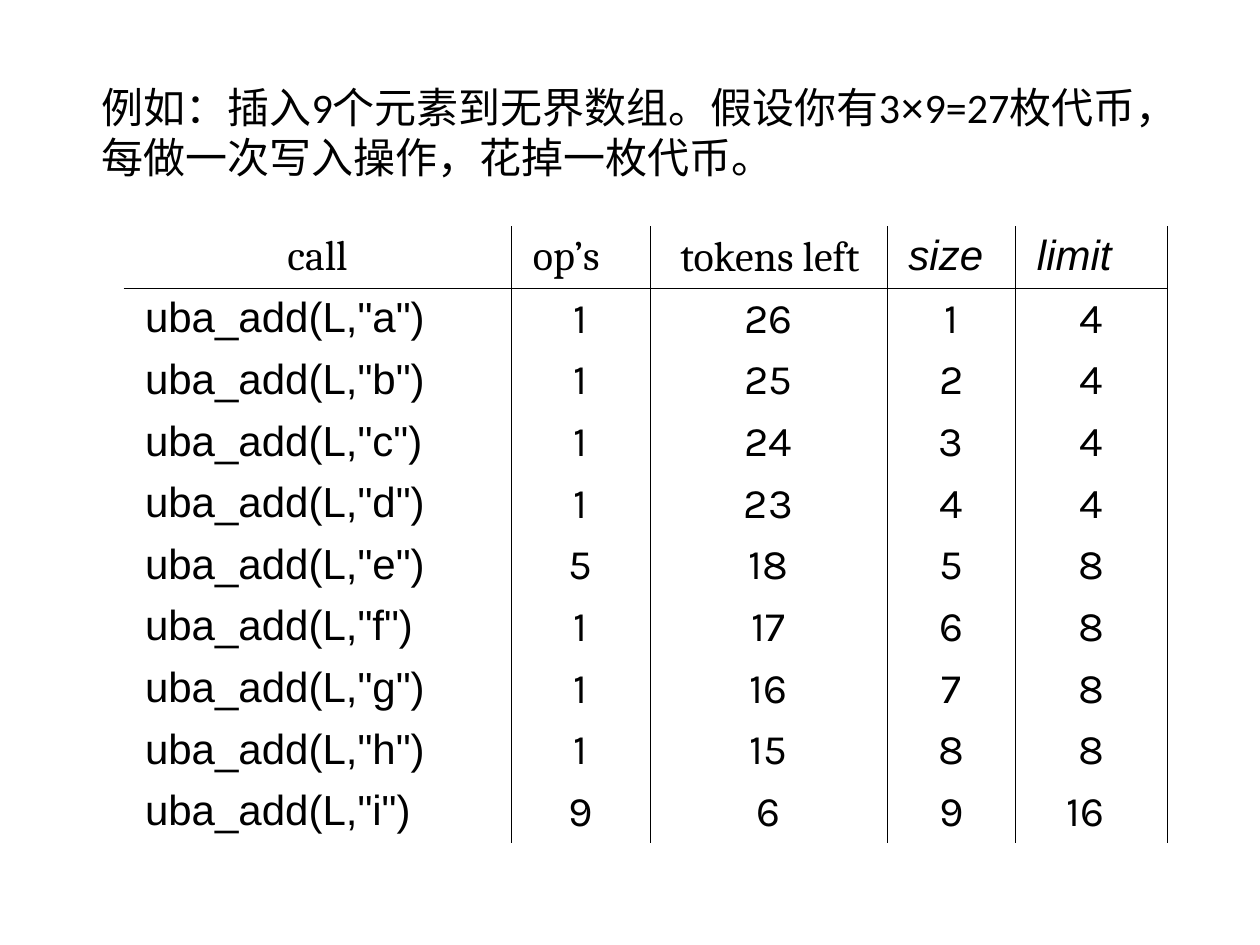
from lxml import etree
from pptx import Presentation
from pptx.dml.color import RGBColor
from pptx.enum.text import MSO_AUTO_SIZE, PP_ALIGN
from pptx.oxml.ns import qn
from pptx.util import Cm, Pt

CENTER = PP_ALIGN.CENTER
LEFT = PP_ALIGN.LEFT
GROW = MSO_AUTO_SIZE.SHAPE_TO_FIT_TEXT
BLACK = "000000"
RULE_WIDTH = Pt(0.17)

INTRO = [
    ("例如：插入9个元素到无界数组。假设你有3", "Calibri"),
    ("×", "Arial"),
    ("9=27枚代币，每做一次写入操作，花掉一枚代币。", "Calibri"),
]
COLUMN_WIDTHS = [7.82, 2.79, 4.78, 2.59, 3.05]
HEADINGS = [
    ("call", dict(font="Cambria", align=CENTER)),
    ("op’s", dict(font="Cambria", margin=0.18)),
    ("tokens left", dict(font="Cambria", margin=0.64, indent=-0.28, spacing=1.03)),
    ("size", dict(font="Arial", italic=True, margin=0.18)),
    ("limit", dict(font="Arial", italic=True, margin=0.18)),
]
CALLS = [
    ("a", 1, 26, 1, 4),
    ("b", 1, 25, 2, 4),
    ("c", 1, 24, 3, 4),
    ("d", 1, 23, 4, 4),
    ("e", 5, 18, 5, 8),
    ("f", 1, 17, 6, 8),
    ("g", 1, 16, 7, 8),
    ("h", 1, 15, 8, 8),
    ("i", 9, 6, 9, 16),
]


def color(hex_code):
    return RGBColor.from_string(hex_code)


def add_text(paragraph, text, font="Arial", size=24, italic=False, align=LEFT,
             margin=0, indent=0, spacing=None):
    paragraph.alignment = align
    if spacing:
        paragraph.line_spacing = spacing
    properties = paragraph._p.get_or_add_pPr()
    properties.set("marL", str(Cm(margin)))
    properties.set("indent", str(Cm(indent)))
    run = paragraph.add_run()
    run.text = text
    run.font.name = font
    run.font.size = Pt(size)
    run.font.italic = italic
    run.font.color.rgb = color(BLACK)


def set_borders(cell, ruled_sides):
    properties = cell._tc.get_or_add_tcPr()
    for side in "LRTB":
        border = etree.SubElement(properties, qn(f"a:ln{side}"), w=str(RULE_WIDTH))
        if side in ruled_sides:
            fill = etree.SubElement(border, qn("a:solidFill"))
            etree.SubElement(fill, qn("a:srgbClr"), val=BLACK)
        else:
            etree.SubElement(border, qn("a:noFill"))


def fill_cell(cell, sides, text, **text_format):
    set_borders(cell, sides)
    cell.fill.background()
    add_text(cell.text_frame.paragraphs[0], text, **text_format)


def add_intro(slide):
    intro = slide.shapes.add_textbox(Cm(1.8), Cm(1.52), Cm(22.43), Cm(2.29))
    frame = intro.text_frame
    frame.word_wrap = True
    frame.auto_size = GROW
    for text, font in INTRO:
        add_text(frame.paragraphs[0], text, font=font)


def number_format(value, column):
    if column == len(COLUMN_WIDTHS) - 1 and value >= 10:
        return dict(font="Karla", margin=0.78)
    return dict(font="Karla", align=CENTER)


def add_call_table(slide):
    table = slide.shapes.add_table(
        len(CALLS) + 1, len(COLUMN_WIDTHS),
        Cm(2.49), Cm(4.56), Cm(sum(COLUMN_WIDTHS)), Cm(10.19)).table
    table.first_row = False
    table.horz_banding = False
    for column, width in zip(table.columns, COLUMN_WIDTHS):
        column.width = Cm(width)
    for index, row in enumerate(table.rows):
        row.height = Cm(1.02 if index else 1.04)

    for column, (heading, heading_format) in enumerate(HEADINGS):
        sides = "LRB" if column else "RB"
        fill_cell(table.cell(0, column), sides, heading, **heading_format)
    for row, (letter, *numbers) in enumerate(CALLS, start=1):
        top = "T" if row == 1 else ""
        fill_cell(table.cell(row, 0), "R" + top, f'uba_add(L,"{letter}")', margin=0.18)
        for column, value in enumerate(numbers, start=1):
            fill_cell(table.cell(row, column), "LR" + top, str(value),
                      **number_format(value, column))


def main():
    presentation = Presentation()
    presentation.slide_width = Cm(25.4)
    presentation.slide_height = Cm(19.05)
    slide = presentation.slides.add_slide(presentation.slide_layouts[6])
    add_call_table(slide)
    add_intro(slide)
    presentation.save("out.pptx")


if __name__ == "__main__":
    main()
